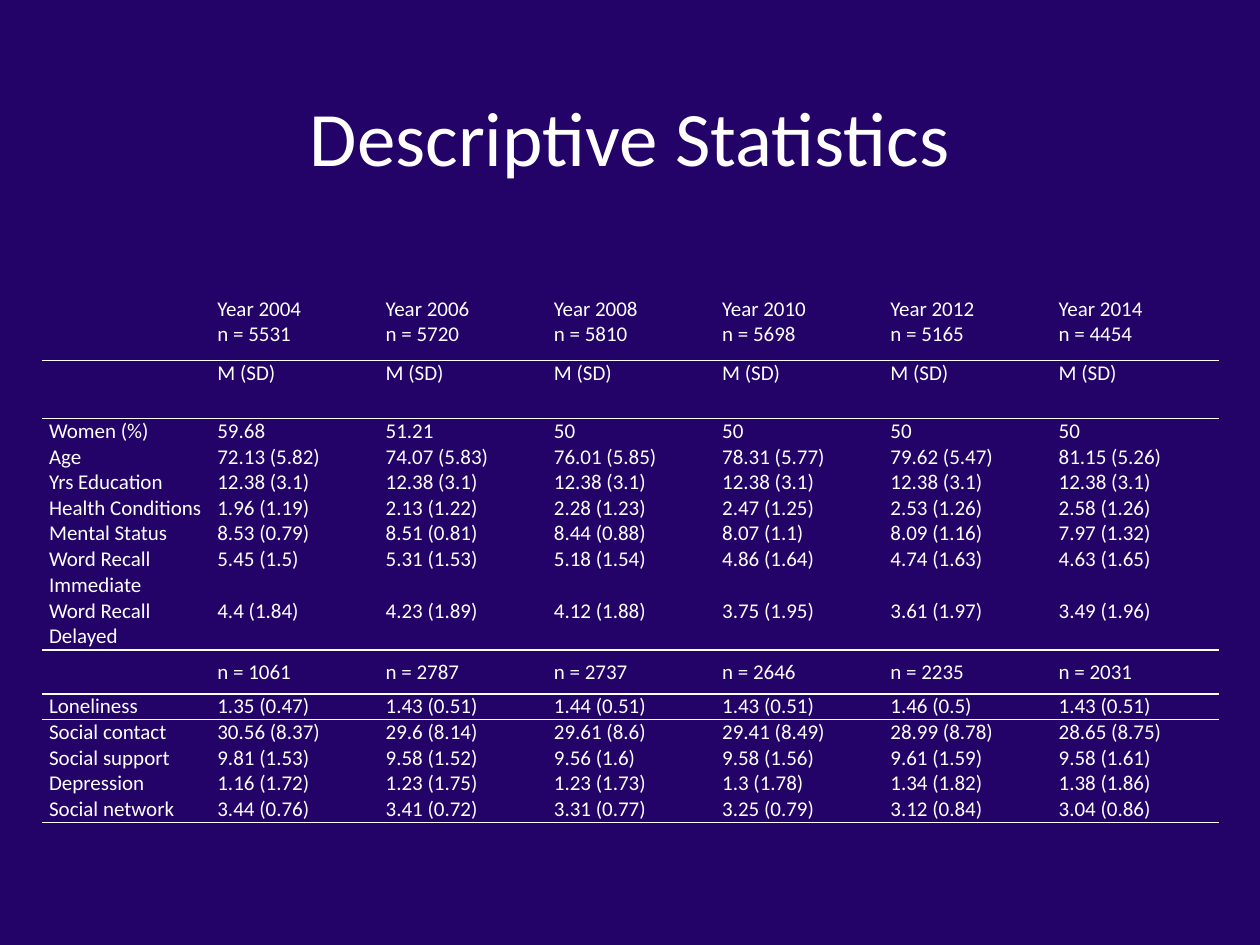
from pptx import Presentation
from pptx.dml.color import RGBColor
from pptx.enum.text import MSO_ANCHOR as Anchor, PP_ALIGN as Align
from pptx.oxml import parse_xml
from pptx.oxml.ns import nsdecls
from pptx.util import Inches, Pt

TITLE = "Descriptive Statistics"
FONT, WHITE, NAVY = "Calibri", "FFFFFF", "230367"
NO_GRID_STYLE = "{2D5ABB26-0587-4C30-8999-92F81FD0307C}"
LEFT, TOP, WIDTH = 0.33, 2.25, 9.35
LINE_HEIGHT = 0.2

ROWS = [
    ["", "Year 2004", "Year 2006", "Year 2008", "Year 2010", "Year 2012", "Year 2014"],
    ["", "n = 5531", "n = 5720", "n = 5810", "n = 5698", "n = 5165", "n = 4454"],
    [""] + ["M (SD)"] * 6,
    ["Women (%)", "59.68", "51.21", "50", "50", "50", "50"],
    ["Age", "72.13 (5.82)", "74.07 (5.83)", "76.01 (5.85)", "78.31 (5.77)", "79.62 (5.47)", "81.15 (5.26)"],
    ["Yrs Education"] + ["12.38 (3.1)"] * 6,
    ["Health Conditions", "1.96 (1.19)", "2.13 (1.22)", "2.28 (1.23)", "2.47 (1.25)", "2.53 (1.26)", "2.58 (1.26)"],
    ["Mental Status", "8.53 (0.79)", "8.51 (0.81)", "8.44 (0.88)", "8.07 (1.1)", "8.09 (1.16)", "7.97 (1.32)"],
    ["Word Recall Immediate", "5.45 (1.5)", "5.31 (1.53)", "5.18 (1.54)", "4.86 (1.64)", "4.74 (1.63)", "4.63 (1.65)"],
    ["Word Recall Delayed", "4.4 (1.84)", "4.23 (1.89)", "4.12 (1.88)", "3.75 (1.95)", "3.61 (1.97)", "3.49 (1.96)"],
    ["", "n = 1061", "n = 2787", "n = 2737", "n = 2646", "n = 2235", "n = 2031"],
    ["Loneliness", "1.35 (0.47)", "1.43 (0.51)", "1.44 (0.51)", "1.43 (0.51)", "1.46 (0.5)", "1.43 (0.51)"],
    ["Social contact", "30.56 (8.37)", "29.6 (8.14)", "29.61 (8.6)", "29.41 (8.49)", "28.99 (8.78)", "28.65 (8.75)"],
    ["Social support", "9.81 (1.53)", "9.58 (1.52)", "9.56 (1.6)", "9.58 (1.56)", "9.61 (1.59)", "9.58 (1.61)"],
    ["Depression", "1.16 (1.72)", "1.23 (1.75)", "1.23 (1.73)", "1.3 (1.78)", "1.34 (1.82)", "1.38 (1.86)"],
    ["Social network", "3.44 (0.76)", "3.41 (0.72)", "3.31 (0.77)", "3.25 (0.79)", "3.12 (0.84)", "3.04 (0.86)"],
]
TALL_ROWS = {0: 0.3, 1: 0.3, 2: 0.46, 8: 0.41, 9: 0.41, 10: 0.35}
ANCHORS = {0: Anchor.BOTTOM, 10: Anchor.MIDDLE}
RULED_ROWS = {1, 2, 9, 10, 11, 15}


def color(value):
    """Turn a hex string into a colour."""
    return RGBColor.from_string(value)


def format_runs(para, size):
    """Give every run of a paragraph the slide's font."""
    for span in para.runs:
        span.font.name = FONT
        span.font.size = Pt(size)
        span.font.color.rgb = color(WHITE)


def rule_below(cell):
    """Draw a white line along the bottom of a cell."""
    line = parse_xml(
        f'<a:lnB {nsdecls("a")} w="{Pt(1)}"><a:solidFill>'
        f'<a:srgbClr val="{WHITE}"/></a:solidFill></a:lnB>'
    )
    cell._tc.get_or_add_tcPr().insert(0, line)


def add_title(page):
    """Place and format the title."""
    title = page.shapes.title
    title.left, title.top, title.width, title.height = map(Inches, (0.69, 0.4, 8.62, 1.45))
    title.text_frame.text = TITLE
    title.text_frame.vertical_anchor = Anchor.MIDDLE
    para = title.text_frame.paragraphs[0]
    para.alignment = Align.CENTER
    para.line_spacing = 0.9
    format_runs(para, 44)


def add_statistics(page):
    """Build the table of statistics by year."""
    columns = len(ROWS[0])
    heights = [TALL_ROWS.get(index, LINE_HEIGHT) for index in range(len(ROWS))]
    frame = page.shapes.add_table(
        len(ROWS), columns, Inches(LEFT), Inches(TOP), Inches(WIDTH), Inches(sum(heights))
    )
    table = frame.table
    table.first_row = table.horz_banding = False
    table._tbl.tblPr[0].text = NO_GRID_STYLE
    for column in table.columns:
        column.width = Inches(WIDTH / columns)
    for index, values in enumerate(ROWS):
        table.rows[index].height = Inches(heights[index])
        for cell, value in zip(table.rows[index].cells, values):
            cell.fill.background()
            cell.margin_left = cell.margin_right = Inches(0.06)
            cell.margin_top = cell.margin_bottom = 0
            cell.vertical_anchor = ANCHORS.get(index, Anchor.TOP)
            cell.text_frame.text = value
            para = cell.text_frame.paragraphs[0]
            para.space_before = para.space_after = Pt(1.8)
            format_runs(para, 12)
            if index in RULED_ROWS:
                rule_below(cell)


def main():
    """Build and save the slide."""
    deck = Presentation()
    deck.slide_width, deck.slide_height = Inches(10), Inches(7.5)
    page = deck.slides.add_slide(deck.slide_layouts[5])
    page.background.fill.solid()
    page.background.fill.fore_color.rgb = color(NAVY)
    add_title(page)
    add_statistics(page)
    deck.save("out.pptx")


if __name__ == "__main__":
    main()
